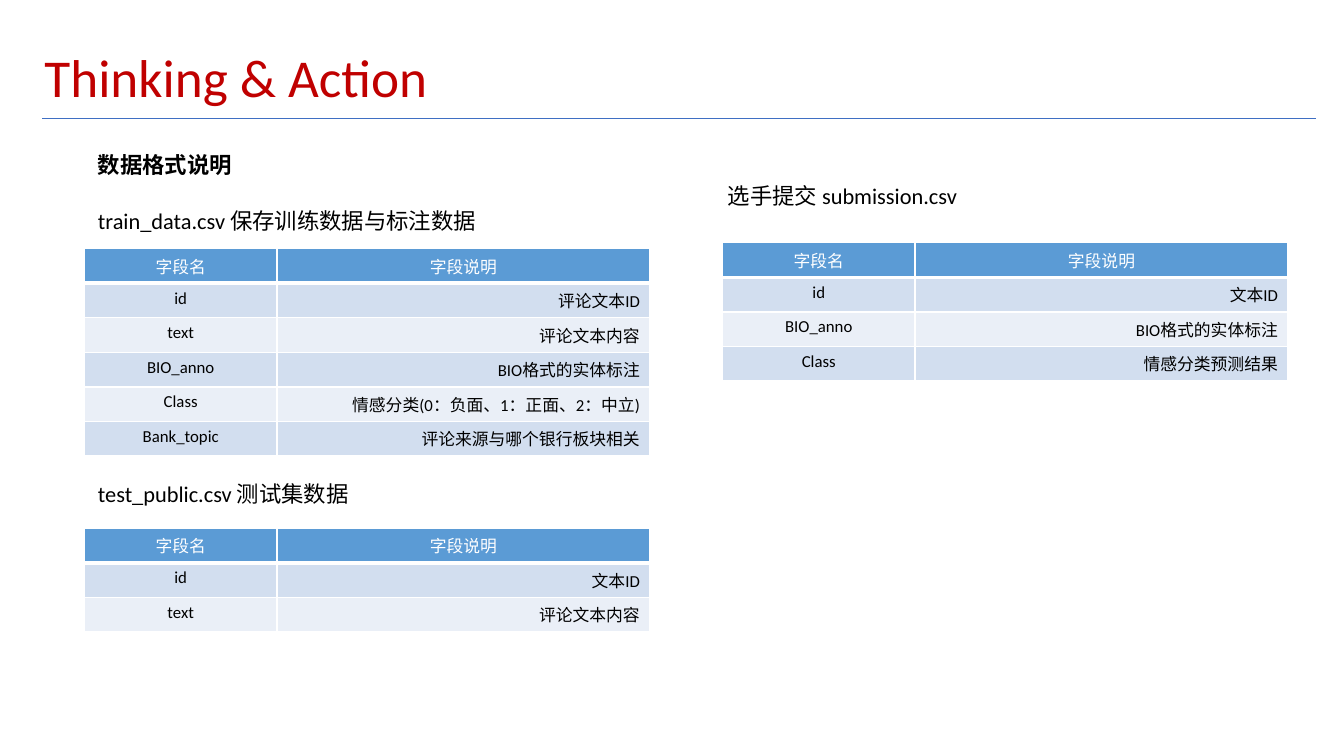
from lxml import etree
from pptx import Presentation
from pptx.dml.color import RGBColor
from pptx.enum import shapes, text
from pptx.oxml import ns
from pptx.util import Cm, Pt

FONT = "Calibri"
RED, BLACK, WHITE = "C00000", "000000", "FFFFFF"
RULE, HEADER, BANDS = "3F6FC3", "5B9BD5", ("D2DEEF", "EAEFF7")

TITLE = "Thinking & Action"
# caption, left, vertical centre (cm), bold
CAPTIONS = [
    ("数据格式说明", 2.34, 4.14, True),
    ("train_data.csv 保存训练数据与标注数据", 2.34, 5.55, False),
    ("test_public.csv 测试集数据", 2.34, 12.43, False),
    ("选手提交 submission.csv", 18.21, 4.94, False),
]
FIELD_HEADER = ("字段名", "字段说明")
# left, top (cm), fields
FIELD_TABLES = [
    (2.13, 6.27, [
        ("id", "评论文本ID"),
        ("text", "评论文本内容"),
        ("BIO_anno", "BIO格式的实体标注"),
        ("Class", "情感分类(0：负面、1：正面、2：中立)"),
        ("Bank_topic", "评论来源与哪个银行板块相关"),
    ]),
    (2.13, 13.31, [("id", "文本ID"), ("text", "评论文本内容")]),
    (18.21, 6.12, [
        ("id", "文本ID"),
        ("BIO_anno", "BIO格式的实体标注"),
        ("Class", "情感分类预测结果"),
    ]),
]
COLUMNS = (4.85, 9.4)
ROW_HEIGHT = 0.87
CAPTION_HEIGHT = 1.5


def rgb(value):
    return RGBColor.from_string(value)


def write(frame, content, size, color, bold=False, align=text.PP_ALIGN.LEFT):
    frame.text = content
    paragraph = frame.paragraphs[0]
    paragraph.alignment = align
    font = paragraph.runs[0].font
    font.name, font.size, font.bold = FONT, Pt(size), bold
    font.color.rgb = rgb(color)


def add_line_of_text(slide, content, left, middle, width, height, size, color, bold=False):
    """Add a one-line text box centred vertically on middle."""
    box = slide.shapes.add_textbox(Cm(left), Cm(middle - height / 2), Cm(width), Cm(height))
    frame = box.text_frame
    frame.word_wrap = True
    frame.vertical_anchor = text.MSO_ANCHOR.MIDDLE
    frame.margin_left = frame.margin_right = Cm(0.13)
    frame.margin_top = frame.margin_bottom = Cm(0.13)
    write(frame, content, size, color, bold)


def set_borders(cell, bottom):
    """Give the cell white edges, 1 pt except the bottom one."""
    properties = cell._tc.get_or_add_tcPr()
    for index, (edge, width) in enumerate((("L", 1), ("R", 1), ("T", 1), ("B", bottom))):
        line = etree.Element(ns.qn("a:ln" + edge), w=str(Pt(width)))
        fill = etree.SubElement(line, ns.qn("a:solidFill"))
        etree.SubElement(fill, ns.qn("a:srgbClr"), val=WHITE)
        properties.insert(index, line)


def add_field_table(slide, left, top, fields):
    rows = [FIELD_HEADER, *fields]
    table = slide.shapes.add_table(
        len(rows), len(COLUMNS), Cm(left), Cm(top),
        Cm(sum(COLUMNS)), Cm(ROW_HEIGHT * len(rows))).table
    for column, width in zip(table.columns, COLUMNS):
        column.width = Cm(width)
    for r, row in enumerate(rows):
        table.rows[r].height = Cm(ROW_HEIGHT)
        header = r == 0
        for c, content in enumerate(row):
            cell = table.cell(r, c)
            centred = header or c == 0
            write(cell.text_frame, content, 12, WHITE if header else BLACK,
                  align=text.PP_ALIGN.CENTER if centred else text.PP_ALIGN.RIGHT)
            cell.fill.solid()
            cell.fill.fore_color.rgb = rgb(HEADER if header else BANDS[(r - 1) % 2])
            set_borders(cell, 3 if header else 1)


def main():
    deck = Presentation()
    deck.slide_width, deck.slide_height = Cm(33.87), Cm(19.05)
    slide = deck.slides.add_slide(deck.slide_layouts[6])

    rule = slide.shapes.add_connector(
        shapes.MSO_CONNECTOR.STRAIGHT, Cm(1.07), Cm(2.98), Cm(33.17), Cm(2.98))
    rule.line.color.rgb = rgb(RULE)
    rule.line.width = Pt(0.75)
    etree.SubElement(rule._element.spPr, ns.qn("a:effectLst"))

    add_line_of_text(slide, TITLE, 0.99, 1.92, 28.27, 1.8, 38, RED)
    for content, left, middle, bold in CAPTIONS:
        add_line_of_text(slide, content, left, middle, sum(COLUMNS), CAPTION_HEIGHT,
                         16, BLACK, bold)
    for left, top, fields in FIELD_TABLES:
        add_field_table(slide, left, top, fields)

    deck.save("out.pptx")


if __name__ == "__main__":
    main()
